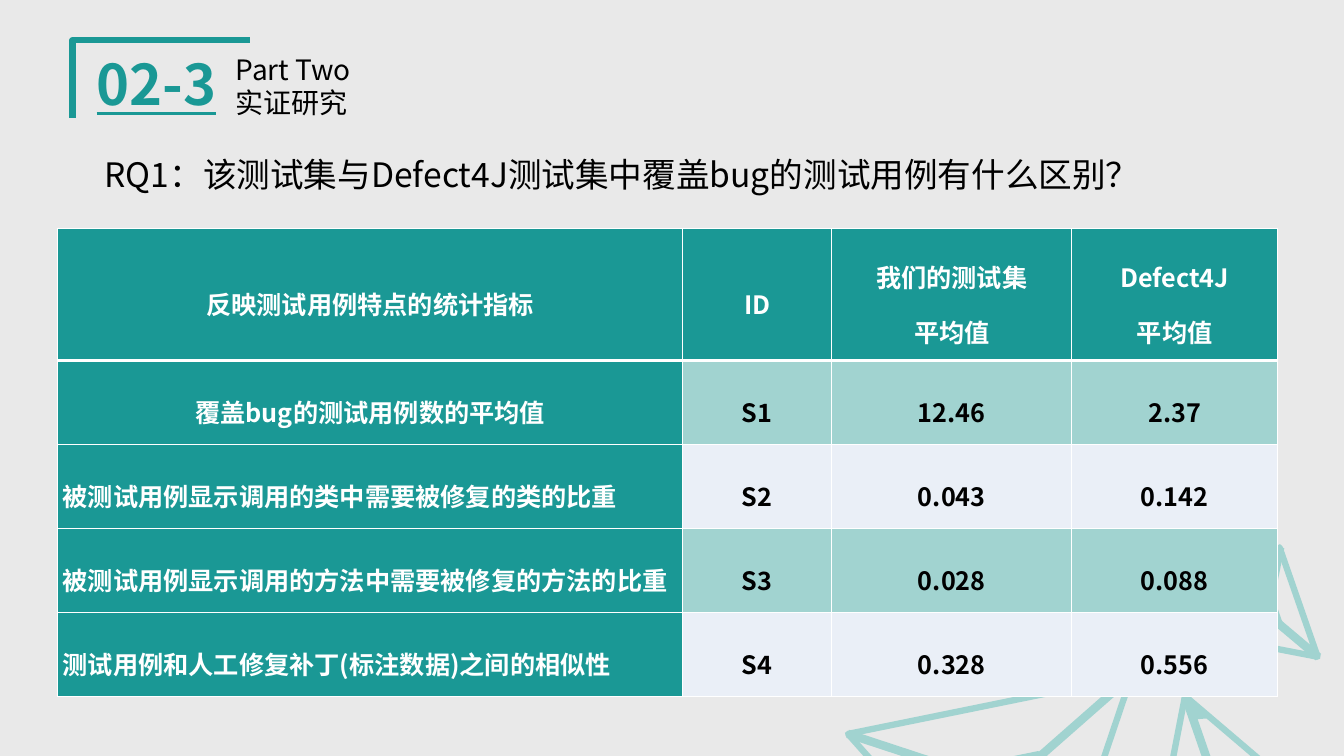
import pptx
import pptx.util
import pptx.dml.color
import pptx.enum.shapes
import pptx.enum.text
import pptx.oxml
import pptx.oxml.ns
import lxml.etree

Pt = pptx.util.Pt
Kind = pptx.enum.shapes.MSO_SHAPE
Align = pptx.enum.text.PP_ALIGN
qn = pptx.oxml.ns.qn
FONT = "Noto Sans CJK SC"
TEAL, MINT, GREY, PALE = "1A9895", "A1D3D0", "E9E9E9", "EAEFF7"
WHITE, BLACK = "FFFFFF", "000000"


def paint(form, tone):
    """Give a fill or font colour a solid hex tone."""
    if hasattr(form, "solid"):
        form.solid()
        form = form.fore_color
    else:
        form = form.color
    form.rgb = pptx.dml.color.RGBColor.from_string(tone)


def style(frame, size, tone, bold=False, line=False):
    """Format every run in a text frame."""
    for para in frame.paragraphs:
        for run in para.runs:
            run.font.size = Pt(size)
            run.font.name = FONT
            run.font.bold = bold
            run.font.underline = line
            paint(run.font, tone)
            east = lxml.etree.SubElement(run._r.get_or_add_rPr(), qn("a:ea"))
            east.set("typeface", FONT)


deck = pptx.Presentation()
deck.slide_width, deck.slide_height = Pt(960), Pt(540)
slide = deck.slides.add_slide(deck.slide_layouts[6])
paint(slide.background.fill, GREY)
shapes = slide.shapes

# Corner bracket
pen = shapes.build_freeform(Pt(51.84), Pt(84.24))
pen.add_line_segments([(Pt(51.84), Pt(28.8)), (Pt(178.56), Pt(28.8))], close=False)
mark = pen.convert_to_shape()
mark.shadow.inherit = False
mark.fill.background()
paint(mark.line, TEAL)
mark.line.width = Pt(4.5)

# Paper stars: large triangle, folds, small triangle, small outline
stars = [
    {"turn": 340.7, "big": (808.56, 494.64, 105.84, 90.72),
     "folds": [(846.72, 497.52, 866.16, 553.68)],
     "tip": [(853.92, 513.36), (862.56, 512.64), (850.32, 502.56)]},
    {"turn": 168.5, "big": (621.36, 501.84, 206.64, 177.84),
     "folds": [(807.84, 483.12, 718.56, 561.6), (605.52, 524.16, 719.28, 561.6)],
     "small": (689.76, 542.16, 54, 16.56)},
    {"turn": 250.8, "big": (852.48, 406.08, 82.8, 71.28),
     "folds": [(860.4, 453.6, 905.04, 438.48), (941.76, 469.44, 905.04, 438.48),
               (914.4, 390.96, 905.04, 438.48)],
     "small": (898.56, 433.44, 21.6, 6.48),
     "tip": [(872.64, 447.84), (872.64, 441.36), (864.72, 450.72)]},
]
for star in stars:
    for part, tone, width in (("big", GREY, 4.5), ("folds", MINT, 6),
                              ("small", MINT, 1), ("tip", MINT, 1)):
        if part not in star:
            continue
        if part == "folds":
            for ends in star[part]:
                fold = shapes.add_connector(
                    pptx.enum.shapes.MSO_CONNECTOR.STRAIGHT, *map(Pt, ends))
                paint(fold.line, tone)
                fold.line.width = Pt(width)
                lxml.etree.SubElement(fold._element.spPr, qn("a:effectLst"))
            continue
        if part == "tip":
            spots = [(Pt(x), Pt(y)) for x, y in star[part]]
            pen = shapes.build_freeform(*spots[0])
            pen.add_line_segments(spots[1:], close=True)
            piece = pen.convert_to_shape()
        else:
            piece = shapes.add_shape(Kind.ISOSCELES_TRIANGLE, *map(Pt, star[part]))
            piece.rotation = star["turn"]
        piece.shadow.inherit = False
        paint(piece.fill, tone)
        paint(piece.line, MINT)
        piece.line.width = Pt(width)

# Question and section heading
texts = [
    ((67.68, 106.56, 818.64, 36),
     "RQ1：该测试集与Defect4J测试集中覆盖bug的测试用例有什么区别？", 24, BLACK, False),
    ((61.92, 31.68, 156.24, 55.44), "02-3", 40, TEAL, True),
    ((161.28, 33.84, 172.8, 55.44), "Part Two\n实证研究", 20, BLACK, False),
]
for place, words, size, tone, strong in texts:
    frame = shapes.add_textbox(*map(Pt, place)).text_frame
    frame.word_wrap = True
    frame.auto_size = pptx.enum.text.MSO_AUTO_SIZE.SHAPE_TO_FIT_TEXT
    frame.text = words
    style(frame, size, tone, bold=strong, line=strong)

# Metrics table
rows = [
    ("反映测试用例特点的统计指标", "ID", "我们的测试集\n平均值", "Defect4J\n平均值"),
    ("覆盖bug的测试用例数的平均值", "S1", "12.46", "2.37"),
    ("被测试用例显示调用的类中需要被修复的类的比重", "S2", "0.043", "0.142"),
    ("被测试用例显示调用的方法中需要被修复的方法的比重", "S3", "0.028", "0.088"),
    ("测试用例和人工修复补丁(标注数据)之间的相似性", "S4", "0.328", "0.556"),
]
widths = (446.4, 106.6, 171.4, 146.9)
table = shapes.add_table(5, 4, Pt(41.2), Pt(163.5), Pt(871.3), Pt(334)).table
for col, width in zip(table.columns, widths):
    col.width = Pt(width)
for r, row in enumerate(rows):
    table.rows[r].height = Pt(60 if r else 94)
    for c, words in enumerate(row):
        cell = table.cell(r, c)
        dark = r == 0 or c == 0
        cell.margin_left = cell.margin_right = Pt(3.6)
        cell.margin_top = cell.margin_bottom = 0
        cell.vertical_anchor = pptx.enum.text.MSO_ANCHOR.MIDDLE
        cell.text_frame.text = words
        for para in cell.text_frame.paragraphs:
            para.alignment = Align.LEFT if c == 0 and r > 1 else Align.CENTER
            para.line_spacing = 1.5
        style(cell.text_frame, 18, WHITE if dark else BLACK, bold=True)
        paint(cell.fill, TEAL if dark else MINT if r % 2 else PALE)

        # White borders, thicker under the header
        props = cell._tc.get_or_add_tcPr()
        for i, side in enumerate("LRTB"):
            thick = (r, side) in ((0, "B"), (1, "T"))
            edge = lxml.etree.Element(qn("a:ln" + side), w=str(Pt(3 if thick else 1)))
            fill = lxml.etree.SubElement(edge, qn("a:solidFill"))
            lxml.etree.SubElement(fill, qn("a:srgbClr"), val=WHITE)
            props.insert(i, edge)

deck.save("out.pptx")
